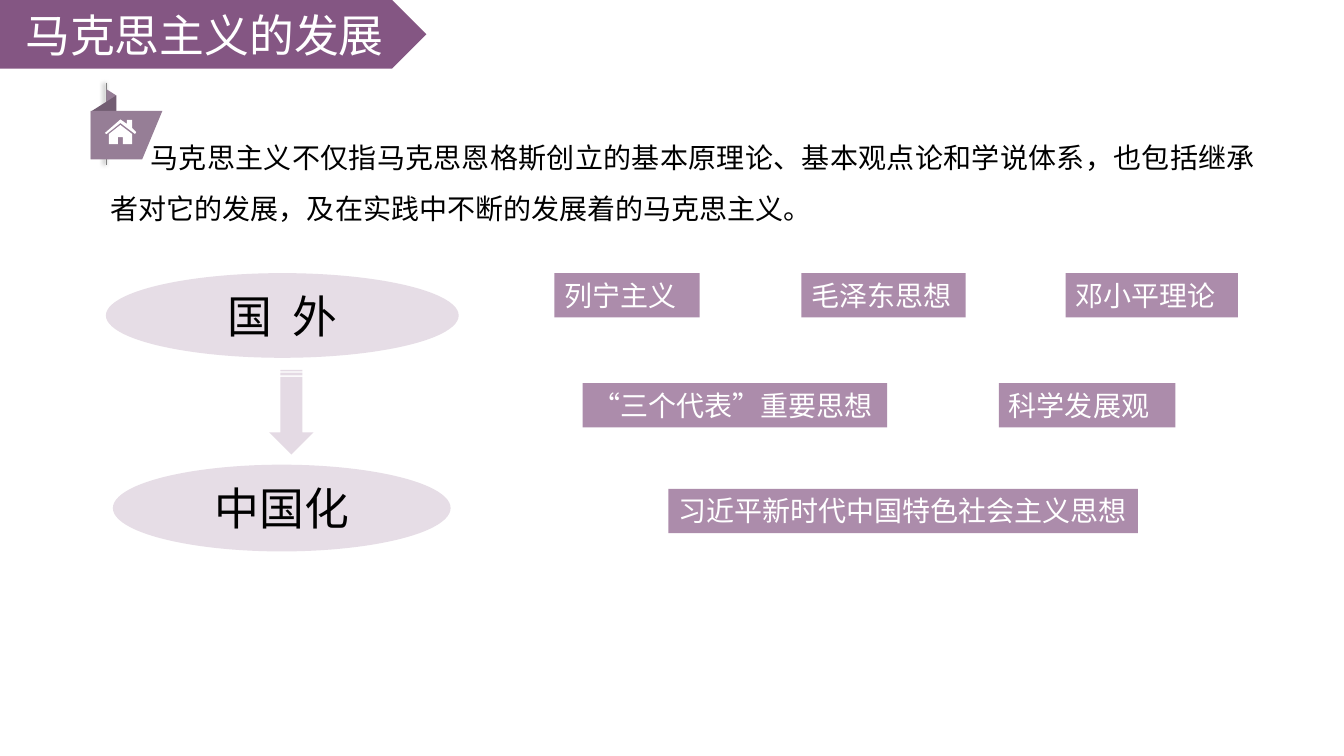
from lxml import etree
from pptx import Presentation, util as u
from pptx.dml.color import RGBColor
from pptx.enum import shapes as s, text as t
from pptx.oxml.ns import qn

WIDTH, HEIGHT = u.Inches(13.333), u.Inches(7.5)
FONT = "Noto Sans CJK SC"
PURPLE, MAUVE, DARK_MAUVE = "5A1B58", "967E96", "725D72"
BLACK, WHITE, GREY = "000000", "FFFFFF", "808080"

# All places are percentages of the slide's width and height.
LABEL_HEIGHT = 5.87
LABEL_ROWS = [
    (36.13, [("列宁主义", 41.25, 10.8), ("毛泽东思想", 59.63, 12.23),
             ("邓小平理论", 79.28, 12.83)]),
    (50.67, [("“三个代表”重要思想", 43.35, 22.65), ("科学发展观", 74.33, 13.13)]),
    (64.67, [("习近平新时代中国特色社会主义思想", 49.73, 34.95)]),
]
FLAG = [(6.75, 21.07), (10.58, 21.07), (12.08, 14.67), (6.75, 14.67)]
ROOF = [(10.05, 17.73), (8.96, 16.27), (7.93, 17.73), (7.8, 17.6), (8.96, 15.8),
        (9.45, 16.4), (9.45, 15.87), (9.83, 15.87), (9.83, 16.93), (10.13, 17.47)]
WALLS = [(9.83, 19.07), (9.15, 19.07), (9.15, 18.13), (8.78, 18.13), (8.78, 19.07),
         (8.1, 19.07), (8.1, 17.73), (8.96, 16.53), (9.83, 17.73)]


def across(share):
    return round(WIDTH * share / 100)


def down(share):
    return round(HEIGHT * share / 100)


def frame(left, top, width, height):
    return across(left), down(top), across(width), down(height)


def color(target, value):
    target.rgb = RGBColor.from_string(value)


def paint(shape, value, opacity=100):
    shape.shadow.inherit = False
    shape.line.fill.background()
    shape.fill.solid()
    color(shape.fill.fore_color, value)
    if opacity < 100:
        tint = shape.element.spPr.find(".//" + qn("a:srgbClr"))
        etree.SubElement(tint, qn("a:alpha"), val=str(opacity * 1000))


def write(shape, words, size, value, align, anchor, spacing=0):
    text_frame = shape.text_frame
    text_frame.word_wrap = True
    text_frame.auto_size = t.MSO_AUTO_SIZE.NONE
    text_frame.vertical_anchor = anchor
    text_frame.text = words
    paragraph = text_frame.paragraphs[0]
    paragraph.alignment = align
    font = paragraph.font
    font.size, font.name = u.Pt(size), FONT
    color(font.color, value)
    properties = paragraph._p.find(".//" + qn("a:defRPr"))
    etree.SubElement(properties, qn("a:ea"), typeface=FONT)
    if spacing:
        properties.set("spc", str(spacing))
    return paragraph


def add_block(slide, kind, place, value, opacity=100, rotation=0, flip=None, adjustment=None):
    shape = slide.shapes.add_shape(kind, *frame(*place))
    paint(shape, value, opacity)
    shape.rotation = rotation
    if flip:
        shape.element.spPr.xfrm.set(flip, "1")
    if adjustment is not None:
        shape.adjustments[0] = adjustment
    return shape


def add_outline(slide, contours, value):
    points = [[(x * 100, y * 100) for x, y in contour] for contour in contours]
    builder = slide.shapes.build_freeform(*points[0][0], scale=(WIDTH / 10000, HEIGHT / 10000))
    for index, contour in enumerate(points):
        if index:
            builder.move_to(*contour[0])
        builder.add_line_segments(contour[1:], close=True)
    paint(builder.convert_to_shape(), value)


def add_stage(slide, words, place, spacing=0):
    shape = add_block(slide, s.MSO_SHAPE.OVAL, place, PURPLE, 15)
    write(shape, words, 32, BLACK, t.PP_ALIGN.CENTER, t.MSO_ANCHOR.MIDDLE, spacing)


def add_label(slide, words, left, top, width):
    shape = add_block(slide, s.MSO_SHAPE.RECTANGLE, (left, top, width, LABEL_HEIGHT), PURPLE, 50)
    write(shape, words, 20, WHITE, t.PP_ALIGN.JUSTIFY, t.MSO_ANCHOR.TOP)


def add_pole(slide):
    pole = slide.shapes.add_connector(
        s.MSO_CONNECTOR.STRAIGHT, across(7.88), down(10.93), across(7.88), down(21.87))
    pole.line.width = u.Pt(0.5)
    color(pole.line.color, GREY)
    effects = etree.SubElement(pole.element.spPr, qn("a:effectLst"))
    shadow = etree.SubElement(effects, qn("a:outerShdw"), blurRad=str(u.Pt(3)),
                              dist=str(u.Pt(1)), dir="10800000")
    shade = etree.SubElement(shadow, qn("a:srgbClr"), val=BLACK)
    etree.SubElement(shade, qn("a:alpha"), val="95000")


def add_title(slide, words):
    ribbon = add_block(slide, s.MSO_SHAPE.PENTAGON, (0, 0, 31.73, 9.07), PURPLE, 74)
    title = slide.shapes.title
    title.left, title.top, title.width, title.height = frame(0, 0, 30.45, 9.07)
    write(title, words, 32, WHITE, t.PP_ALIGN.CENTER, t.MSO_ANCHOR.MIDDLE)
    title.element.addprevious(ribbon.element)


def add_introduction(slide, words):
    box = slide.shapes.add_textbox(*frame(7.5, 15.73, 86.63, 14.8))
    paragraph = write(box, words, 20, BLACK, t.PP_ALIGN.JUSTIFY, t.MSO_ANCHOR.TOP)
    paragraph.line_spacing = 1.5
    paragraph._p.get_or_add_pPr().set("indent", str(across(2.95)))


def main():
    presentation = Presentation()
    presentation.slide_width, presentation.slide_height = WIDTH, HEIGHT
    slide = presentation.slides.add_slide(presentation.slide_layouts[5])

    # Heading and introduction
    add_title(slide, "马克思主义的发展")
    add_introduction(slide, "马克思主义不仅指马克思恩格斯创立的基本原理论、基本观点论和学说体系，"
                            "也包括继承者对它的发展，及在实践中不断的发展着的马克思主义。")

    # Stages
    add_stage(slide, "国 外", (7.88, 36.13, 26.25, 11.2), spacing=360)
    add_stage(slide, "中国化", (8.4, 61.47, 25.13, 11.47))
    add_block(slide, s.MSO_SHAPE.STRIPED_RIGHT_ARROW, (18.53, 51.6, 6.3, 5.87), PURPLE, 16,
              rotation=90)

    # Theories
    for top, labels in LABEL_ROWS:
        for words, left, width in labels:
            add_label(slide, words, left, top, width)

    # Flag with house
    add_pole(slide)
    add_block(slide, s.MSO_SHAPE.TRAPEZOID, (6.15, 14.93, 4.28, 1.33), MAUVE,
              rotation=90, flip="flipH", adjustment=0.625)
    add_block(slide, s.MSO_SHAPE.PARALLELOGRAM, (5.33, 15.2, 4.73, 3.33), DARK_MAUVE,
              rotation=270, flip="flipV", adjustment=0.632)
    add_outline(slide, [FLAG], MAUVE)
    add_outline(slide, [ROOF, WALLS], WHITE)

    presentation.save("out.pptx")


if __name__ == "__main__":
    main()
